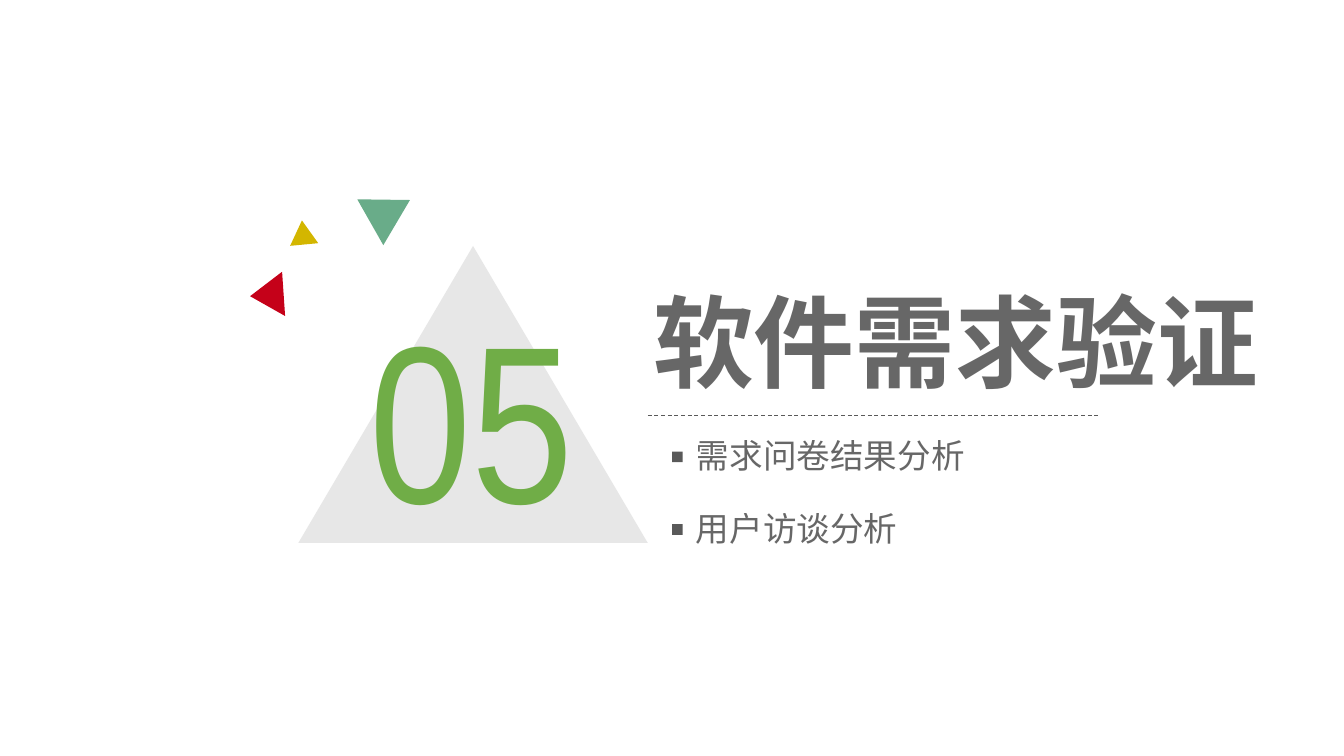
"""Build the section slide for chapter 05, software requirements validation."""
from lxml.etree import SubElement
from pptx import Presentation
from pptx.dml.color import RGBColor
from pptx.enum.dml import MSO_LINE as Dash
from pptx.enum.shapes import MSO_CONNECTOR as Link, MSO_SHAPE as Kind
from pptx.enum.text import MSO_AUTO_SIZE as Fit
from pptx.oxml.ns import qn
from pptx.util import Inches, Pt

GRAY = RGBColor(0x59, 0x59, 0x59)
GREEN = RGBColor(0x70, 0xAD, 0x47)
TEAL = RGBColor(0x69, 0xAC, 0x89)
GOLD = RGBColor(0xD3, 0xB6, 0x00)
RED = RGBColor(0xC5, 0x01, 0x19)
SANS = "Noto Sans CJK SC"

WIDE = 10
TALL = WIDE * 9 / 16
NUMBER = ("05", (2.65, 2.03, 1.99, 2.12), {"name": "Arial Narrow", "size": Pt(120)}, GREEN, 100)
TITLE = (" 软件需求验证", (4.59, 2.03, 4.92, 1.06), {"name": SANS, "size": Pt(54), "bold": True}, GRAY, 91)
TOPICS = [("需求问卷结果分析", 2.2), ("用户访谈分析", 1.7)]
TOPIC = {"name": SANS, "size": Pt(18)}
PEAK = (2.22, 1.83, 2.6, 2.21)
CHIPS = [
    ((2.61, 1.4, 0.39, 0.34), 300.6, TEAL),
    ((2.15, 1.64, 0.21, 0.18), 354.7, GOLD),
    ((1.82, 2.07, 0.33, 0.25), 266.1, RED),
]
RULE = (4.82, 3.09, 8.19, 3.09)
LEFT, TOP, STEP, DOT, HIGH = 5, 3.19, 0.54, 0.08, 0.42


def fade(node, alpha):
    if alpha < 100:
        tint = next(node.iter(qn("a:srgbClr")))
        SubElement(tint, qn("a:alpha"), val=str(alpha * 1000))


def add_form(shapes, kind, box, color, turn=0, alpha=100):
    form = shapes.add_shape(kind, *map(Inches, box))
    form.shadow.inherit = False
    form.rotation = turn
    form.fill.solid()
    form.fill.fore_color.rgb = color
    form.line.fill.background()
    fade(form._element.spPr, alpha)


def add_text(shapes, text, box, style, color, alpha):
    frame = shapes.add_textbox(*map(Inches, box)).text_frame
    frame.word_wrap = False
    frame.auto_size = Fit.SHAPE_TO_FIT_TEXT
    run = frame.paragraphs[0].add_run()
    run.text = text
    for key, value in style.items():
        setattr(run.font, key, value)
    run.font.color.rgb = color
    props = run._r.get_or_add_rPr()
    SubElement(props, qn("a:ea"), typeface=style["name"])
    fade(props, alpha)


def add_rule(shapes):
    rule = shapes.add_connector(Link.STRAIGHT, *map(Inches, RULE))
    for key, value in {"width": Pt(0.5), "dash_style": Dash.DASH}.items():
        setattr(rule.line, key, value)
    rule.line.color.rgb = GRAY
    SubElement(rule._element.spPr, qn("a:effectLst"))


def main():
    deck = Presentation()
    deck.slide_width, deck.slide_height = Inches(WIDE), Inches(TALL)
    shapes = deck.slides.add_slide(deck.slide_layouts[6]).shapes
    add_form(shapes, Kind.ISOSCELES_TRIANGLE, PEAK, GRAY, alpha=14)
    for item in (NUMBER, TITLE):
        add_text(shapes, *item)
    add_rule(shapes)
    for box, turn, color in CHIPS:
        add_form(shapes, Kind.ISOSCELES_TRIANGLE, box, color, turn)
    for row, (text, wide) in enumerate(TOPICS):
        top = TOP + row * STEP
        group = shapes.add_group_shape().shapes
        add_form(group, Kind.RECTANGLE, (LEFT, top + (HIGH - DOT) / 2, DOT, DOT), GRAY)
        add_text(group, text, (LEFT + DOT, top, wide, HIGH), TOPIC, GRAY, 91)
    deck.save("out.pptx")


if __name__ == "__main__":
    main()
